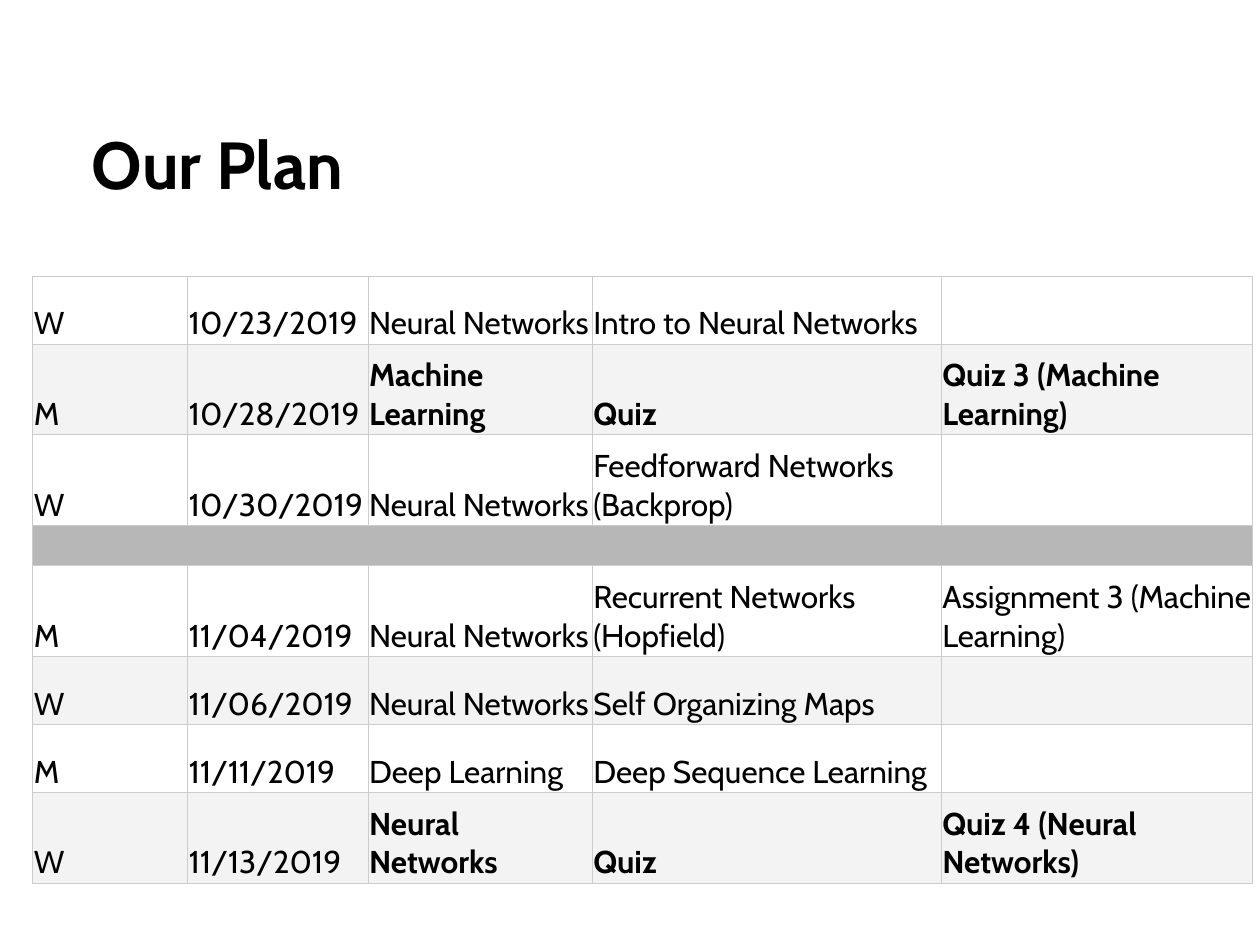
from lxml.etree import SubElement
from pptx import Presentation
from pptx.dml.color import RGBColor
from pptx.enum.text import MSO_ANCHOR
from pptx.oxml.ns import qn
from pptx.util import Inches, Pt

FONT = "Cabin"
COLORS = {
    "text": "000000",
    "plain": "FFFFFF",
    "shaded": "F3F3F3",
    "divider": "B7B7B7",
    "border": "CCCCCC",
}
COLUMN_WIDTHS = [1.23, 1.43, 1.78, 2.77, 2.47]
ROW_HEIGHTS = [0.54, 0.72, 0.72, 0.32, 0.72, 0.54, 0.54, 0.72]
SCHEDULE = [
    ("plain", ["W", "10/23/2019", "Neural Networks", "Intro to Neural Networks", ""]),
    ("shaded", ["M", "10/28/2019", "Machine Learning", "Quiz", "Quiz 3 (Machine Learning)"]),
    ("plain", ["W", "10/30/2019", "Neural Networks", "Feedforward Networks (Backprop)", ""]),
    ("divider", [""] * 5),
    ("plain", ["M", "11/04/2019", "Neural Networks", "Recurrent Networks (Hopfield)",
               "Assignment 3 (Machine Learning)"]),
    ("shaded", ["W", "11/06/2019", "Neural Networks", "Self Organizing Maps", ""]),
    ("plain", ["M", "11/11/2019", "Deep Learning", "Deep Sequence Learning", ""]),
    ("shaded", ["W", "11/13/2019", "Neural Networks", "Quiz", "Quiz 4 (Neural Networks)"]),
]


def style_font(font, size, bold):
    font.name = FONT
    font.size = Pt(size)
    font.bold = bold
    font.color.rgb = RGBColor.from_string(COLORS["text"])


def add_borders(cell):
    properties = cell._tc.get_or_add_tcPr()
    for position, side in enumerate(("lnL", "lnR", "lnT", "lnB")):
        line = SubElement(properties, qn(f"a:{side}"), w=str(Pt(0.38)))
        fill = SubElement(line, qn("a:solidFill"))
        SubElement(fill, qn("a:srgbClr"), val=COLORS["border"])
        properties.insert(position, line)


def fill_cell(cell, wording, shade, bold):
    cell.fill.solid()
    cell.fill.fore_color.rgb = RGBColor.from_string(COLORS[shade])
    cell.margin_left = cell.margin_right = Inches(0.01)
    cell.margin_top = cell.margin_bottom = Inches(0.01)
    cell.vertical_anchor = MSO_ANCHOR.BOTTOM
    cell.text = wording
    style_font(cell.text_frame.paragraphs[0].font, 18, bold)
    add_borders(cell)


def add_title(slide, left, top, width, height):
    title = slide.shapes.add_textbox(left, top, width, height)
    frame = title.text_frame
    frame.word_wrap = True
    frame.vertical_anchor = MSO_ANCHOR.BOTTOM
    frame.text = "Our Plan"
    style_font(frame.paragraphs[0].font, 38, True)


def add_schedule(slide, left, top, width, height):
    schedule = slide.shapes.add_table(
        len(SCHEDULE), len(COLUMN_WIDTHS), left, top, width, height
    ).table
    schedule.first_row = False
    schedule.horz_banding = False
    for column, column_width in zip(schedule.columns, COLUMN_WIDTHS):
        column.width = Inches(column_width)
    for row, row_height in zip(schedule.rows, ROW_HEIGHTS):
        row.height = Inches(row_height)
    for row_index, (shade, entries) in enumerate(SCHEDULE):
        is_quiz = "Quiz" in entries
        for column_index, wording in enumerate(entries):
            cell = schedule.cell(row_index, column_index)
            fill_cell(cell, wording, shade, is_quiz and column_index >= 2)
        if shade == "divider":
            schedule.cell(row_index, 0).merge(schedule.cell(row_index, len(entries) - 1))


def main():
    deck = Presentation()
    deck.slide_width = Inches(10)
    deck.slide_height = Inches(7.5)
    slide = deck.slides.add_slide(deck.slide_layouts[6])
    add_title(slide, Inches(0.63), Inches(0.33), Inches(8.75), Inches(1.33))
    add_schedule(slide, Inches(0.26), Inches(2.19),
                 Inches(sum(COLUMN_WIDTHS)), Inches(sum(ROW_HEIGHTS)))
    deck.save("out.pptx")


if __name__ == "__main__":
    main()
